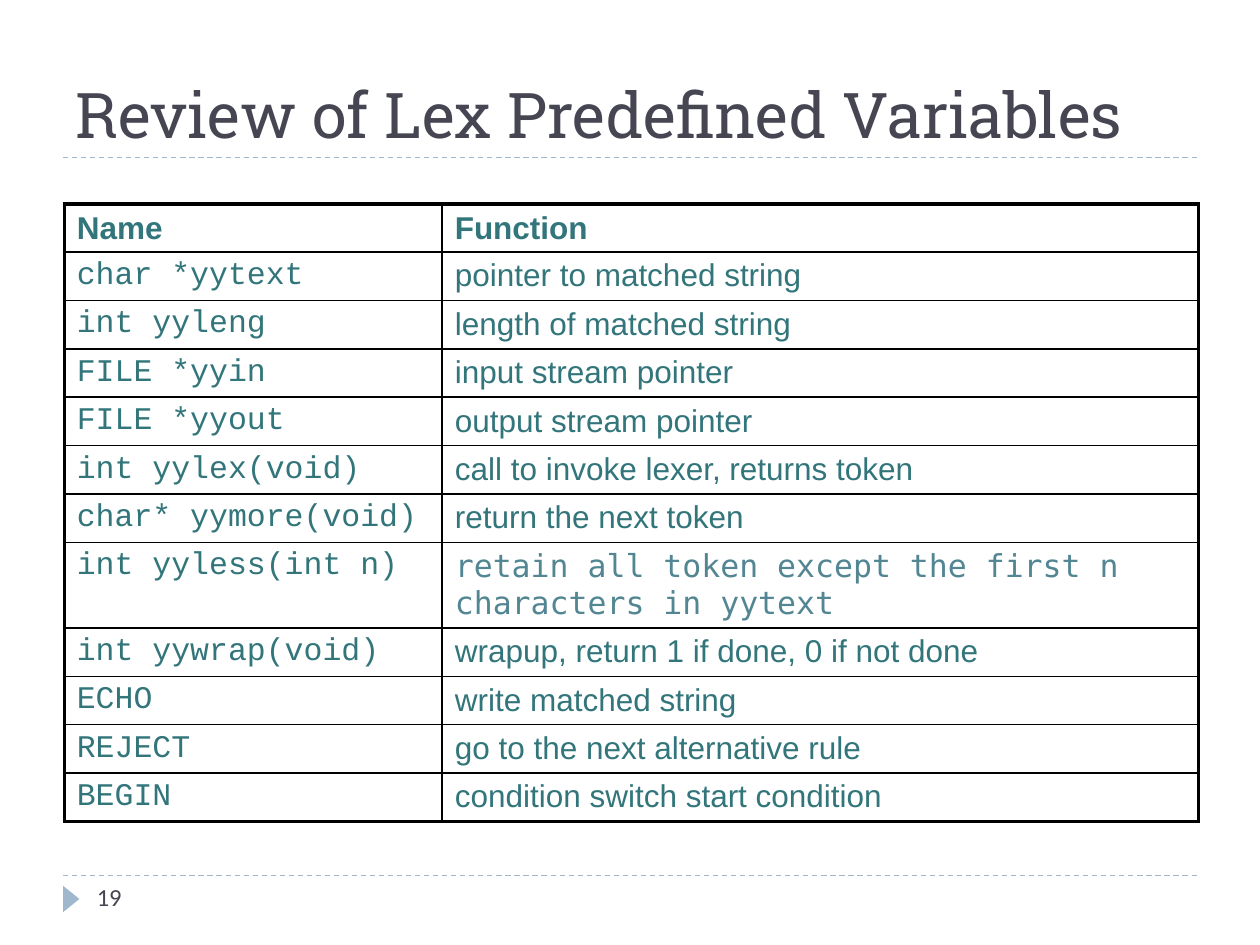
from lxml.etree import SubElement
from pptx import Presentation
from pptx.dml.color import RGBColor
from pptx.enum.dml import MSO_LINE
from pptx.enum.shapes import MSO_CONNECTOR, MSO_SHAPE
from pptx.enum.text import MSO_ANCHOR, MSO_AUTO_SIZE, PP_ALIGN
from pptx.oxml import parse_xml
from pptx.oxml.ns import nsdecls, qn
from pptx.util import Inches, Pt

CODE, PROSE = "Courier New", "Arial"
VARIABLES = [
    ("char *yytext", "pointer to matched string"),
    ("int yyleng", "length of matched string"),
    ("FILE *yyin", "input stream pointer"),
    ("FILE *yyout", "output stream pointer"),
    ("int yylex(void)", "call to invoke lexer, returns token"),
    ("char* yymore(void)", "return the next token"),
    ("int yyless(int n)", "retain all token except the first n characters in yytext"),
    ("int yywrap(void)", "wrapup, return 1 if done, 0 if not done"),
    ("ECHO", "write matched string"),
    ("REJECT", "go to the next alternative rule"),
    ("BEGIN", "condition switch start condition"),
]
WRAPPED = "int yyless(int n)"


def color(value):
    return RGBColor.from_string(value)


def write(tf, text, font=PROSE, size=18, fill="32757A", bold=False):
    p = tf.paragraphs[0]
    p.alignment = PP_ALIGN.LEFT
    r = p.add_run()
    r.text = text
    r.font.name, r.font.size, r.font.bold = font, Pt(size), bold
    r.font.color.rgb = color(fill)


def set_borders(cell, widths):
    """Draw black borders; widths are points for left, right, top, bottom."""
    tc_pr = cell._tc.get_or_add_tcPr()
    for i, (side, width) in enumerate(zip("LRTB", widths)):
        tc_pr.insert(i, parse_xml(
            f'<a:ln{side} {nsdecls("a")} w="{Pt(width)}"><a:solidFill>'
            f'<a:srgbClr val="000000"/></a:solidFill></a:ln{side}>'))


class SlideBuilder:
    accent, ink = "9FB8CD", "464653"
    thin, thick = 1, 2.25

    def __init__(self, prs):
        self.s = prs.slides.add_slide(prs.slide_layouts[5])

    def rule(self, y):
        line = self.s.shapes.add_connector(
            MSO_CONNECTOR.STRAIGHT, Inches(0.5), Inches(y), Inches(9.5), Inches(y))
        line.line.color.rgb = color(self.accent)
        line.line.width = Pt(0.75)
        line.line.dash_style = MSO_LINE.DASH
        SubElement(line._element.spPr, qn("a:effectLst"))

    def marker(self, x, y, w, h):
        sp = self.s.shapes.add_shape(
            MSO_SHAPE.ISOSCELES_TRIANGLE, Inches(x), Inches(y), Inches(w), Inches(h))
        sp.rotation = 90
        sp.shadow.inherit = False
        sp.fill.solid()
        sp.fill.fore_color.rgb = color(self.accent)
        sp.line.fill.background()

    def title(self, text, x, y, w, h):
        sp = self.s.shapes.title
        sp.left, sp.top, sp.width, sp.height = map(Inches, (x, y, w, h))
        tf = sp.text_frame
        tf.vertical_anchor = MSO_ANCHOR.BOTTOM
        tf.auto_size = MSO_AUTO_SIZE.NONE
        write(tf, text, font="Roboto Slab", size=36, fill=self.ink)

    def page_number(self, text, x, y, w, h):
        sp = self.s.shapes.add_textbox(Inches(x), Inches(y), Inches(w), Inches(h))
        sp.text_frame.word_wrap = True
        write(sp.text_frame, text, font="Calibri", size=14, fill=self.ink)

    def table(self, header, rows, x, y, col_widths, row_height, wrapped_height):
        height = row_height * len(rows) + wrapped_height
        table = self.s.shapes.add_table(
            len(rows) + 1, len(header), Inches(x), Inches(y),
            Inches(sum(col_widths)), Inches(height)).table
        for column, width in zip(table.columns, col_widths):
            column.width = Inches(width)
        last_row, last_col = len(rows), len(header) - 1
        for i, values in enumerate([header, *rows]):
            wrapped = values[0] == WRAPPED
            table.rows[i].height = Inches(wrapped_height if wrapped else row_height)
            for j, text in enumerate(values):
                cell = table.cell(i, j)
                cell.fill.background()
                outer = (j == 0, j == last_col, i == 0, i == last_row)
                set_borders(cell, [self.thick if edge else self.thin for edge in outer])
                if i == 0:
                    style = {"bold": True}
                elif j == 0:
                    style = {"font": CODE}
                elif wrapped:
                    style = {"font": "DejaVu Sans Mono", "fill": "528693"}
                else:
                    style = {}
                write(cell.text_frame, text, **style)


def main():
    prs = Presentation()
    prs.slide_width, prs.slide_height = Inches(10), Inches(7.5)
    slide = SlideBuilder(prs)
    for y in (6.95, 1.25):
        slide.rule(y)
    slide.marker(0.46, 7.07, 0.21, 0.13)
    slide.title("Review of Lex Predefined Variables", 0.5, 0.3, 9, 0.95)
    slide.table(("Name", "Function"), VARIABLES, 0.51, 1.62,
                col_widths=(3, 6), row_height=0.38, wrapped_height=0.68)
    slide.page_number("19", 0.67, 6.95, 2.17, 0.4)
    prs.save("out.pptx")


if __name__ == "__main__":
    main()
